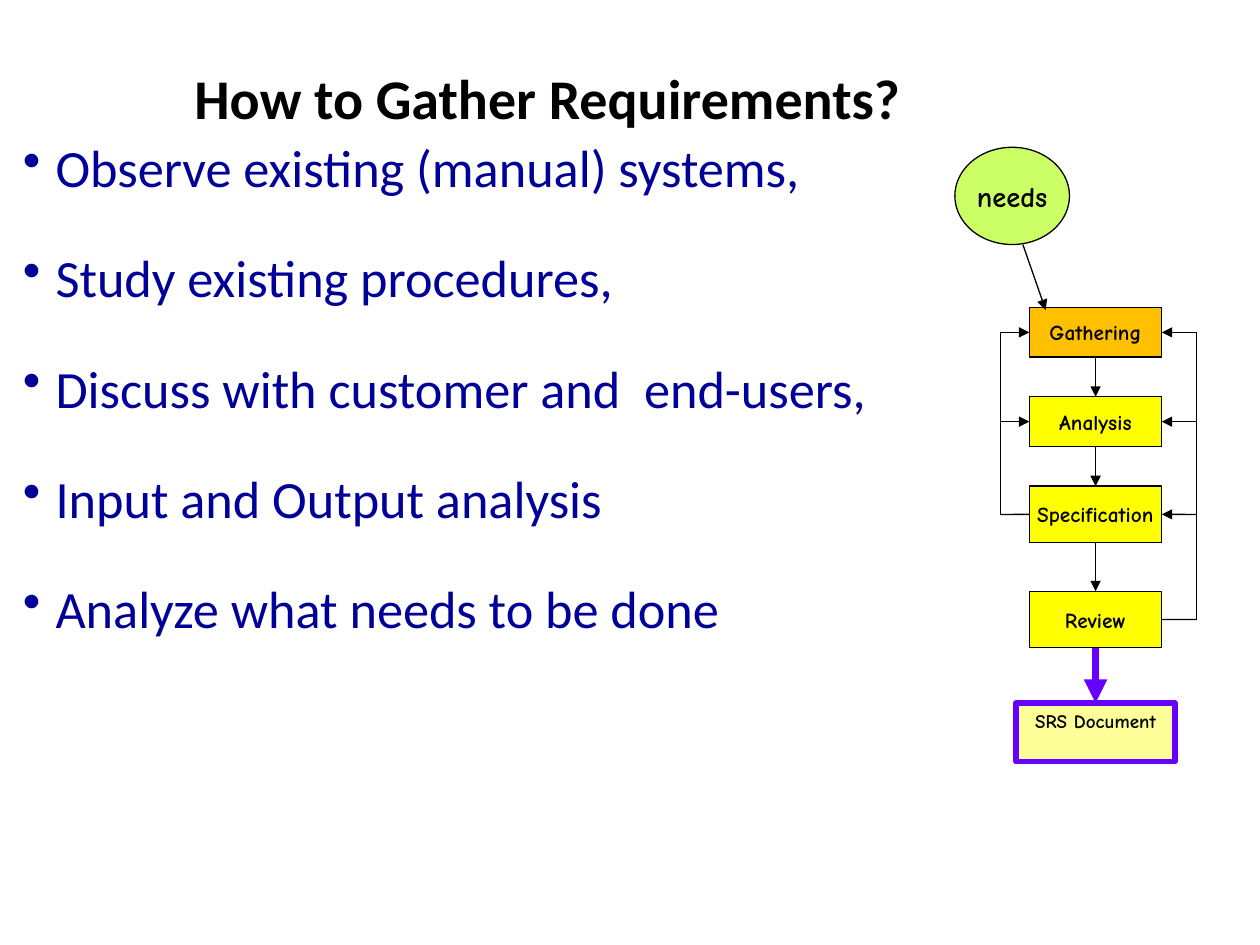
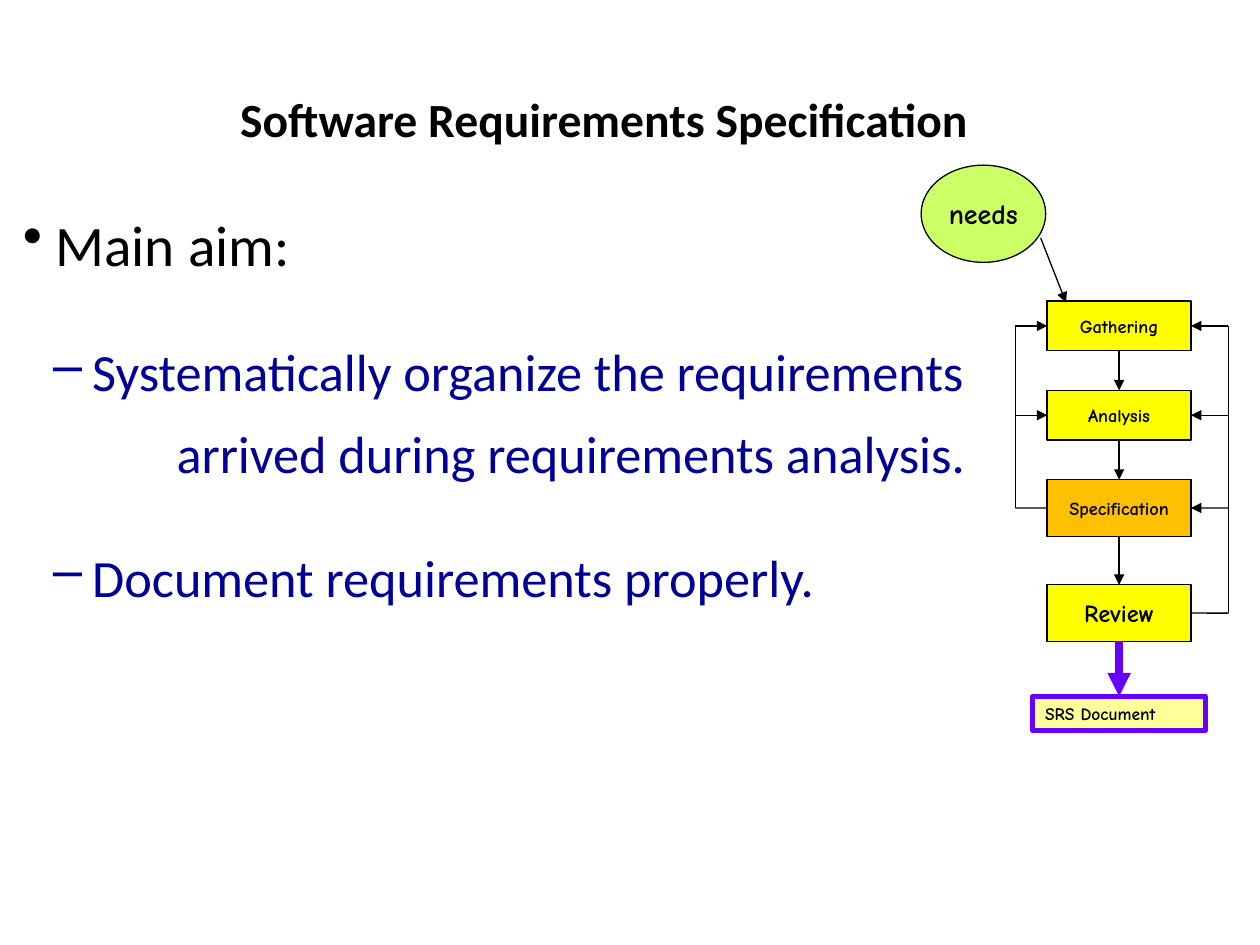
from lxml import etree
from pptx import Presentation
from pptx import util as u
from pptx.dml.color import RGBColor
from pptx.enum import shapes, text
from pptx.oxml import ns

COLORS = {
    "black": "000000",
    "navy": "000099",
    "green": "CCFF66",
    "yellow": "FFFF00",
    "orange": "FFC000",
    "cream": "FFFF99",
    "violet": "6600FF",
}
BODY_FONT = "Calibri"
DIAGRAM_FONT = "Comic Neue"

STEPS = [
    ("Gathering", 0, 1),
    ("Analysis", 1.8, 1),
    ("Specification", 3.6, 1.14),
    ("Review", 5.72, 1.14),
]
TOP, LEFT, BOTTOM, RIGHT = range(4)

# name, left indent, hanging, bullet, size, color, spacing, before, after
SLIDES = [
    {
        "title": "How to Gather Requirements?",
        "title_size": 32,
        "title_box": (0.51, 0.38, 21.06, 3.15),
        "body_box": (0.43, 2.31, 21.44, 14.96),
        "body": [
            (line, 0, 0.66, -0.66, "•", 29.9, "navy", 1.25, 6, 12.2)
            for line in (
                "Observe existing (manual) systems,",
                "Study existing procedures,",
                "Discuss with customer and  end-users,",
                "Input and Output analysis",
                "Analyze what needs to be done",
            )
        ],
        "needs_box": (19.25, 2.97, 2.31, 1.96),
        "needs_size": 16.3,
        "needs_arrow": (20.62, 4.93, 21.08, 6.25),
        "flow": (20.75, 6.2, 2.67),
        "step_sizes": (12.2, 12.2, 12.2, 12.2),
        "current": "Gathering",
        "document_height": 1.19,
        "document_size": 10.9,
        "document_align": text.PP_ALIGN.CENTER,
    },
    {
        "title": "Software Requirements Specification",
        "title_size": 27.2,
        "title_box": (2.97, 0.81, 18.42, 3.15),
        "body_box": (0.43, 3.56, 24.77, 15.16),
        "body": [
            ("Main aim:", 0, 0.66, -0.66, "•", 32.7, "black", 1.4, 12.2, 12.2),
            ("Systematically organize the requirements", 1, 1.4, -0.79, "–",
             29.9, "navy", 1.3, 12.2, 0),
            ("arrived during requirements analysis.", 1, 3.1, 0, None,
             29.9, "navy", 1.3, 0, 12.2),
            ("Document requirements properly.", 1, 1.4, -0.79, "–",
             29.9, "navy", 1.3, 12.2, 12.2),
        ],
        "needs_box": (18.57, 3.33, 2.51, 1.96),
        "needs_size": 16,
        "needs_arrow": (20.98, 4.8, 21.49, 6.1),
        "flow": (21.11, 6.07, 2.9),
        "step_sizes": (10.5, 10.5, 10.5, 14),
        "current": "Specification",
        "document_height": 0.69,
        "document_size": 10,
        "document_align": text.PP_ALIGN.LEFT,
    },
]


def add_box(slide, kind, box, label, size, fill, line="black", line_width=0.75):
    shape = slide.shapes.add_shape(kind, *map(u.Cm, box))
    shape.shadow.inherit = False
    shape.fill.solid()
    shape.fill.fore_color.rgb = RGBColor.from_string(COLORS[fill])
    shape.line.color.rgb = RGBColor.from_string(COLORS[line])
    shape.line.width = u.Pt(line_width)
    frame = shape.text_frame
    frame.word_wrap = False
    frame.vertical_anchor = text.MSO_ANCHOR.MIDDLE
    frame.margin_left = frame.margin_right = u.Cm(0.18)
    frame.margin_top = frame.margin_bottom = u.Cm(0.1)
    paragraph = frame.paragraphs[0]
    paragraph.alignment = text.PP_ALIGN.CENTER
    run = paragraph.add_run()
    run.text = label
    run.font.name = DIAGRAM_FONT
    run.font.size = u.Pt(size)
    run.font.bold = True
    run.font.color.rgb = RGBColor.from_string(COLORS["black"])
    return shape


def add_line(slide, points, start=None, end=None, arrow=True, color="black", width=0.75):
    connector = slide.shapes.add_connector(
        shapes.MSO_CONNECTOR.STRAIGHT, *map(u.Cm, points))
    if start:
        connector.begin_connect(*start)
    if end:
        connector.end_connect(*end)
    connector.line.color.rgb = RGBColor.from_string(COLORS[color])
    connector.line.width = u.Pt(width)
    if arrow:
        outline = connector.line._get_or_add_ln()
        etree.SubElement(outline, ns.qn("a:tailEnd"), type="triangle")
    etree.SubElement(connector._element.spPr, ns.qn("a:effectLst"))


presentation = Presentation()
presentation.slide_width = u.Cm(25.4)
presentation.slide_height = u.Cm(19.05)

for content in SLIDES:
    slide = presentation.slides.add_slide(presentation.slide_layouts[6])

    frames = []
    for box in (content["title_box"], content["body_box"]):
        frame = slide.shapes.add_textbox(*map(u.Cm, box)).text_frame
        frame.word_wrap = True
        frame.margin_left = frame.margin_right = u.Cm(0.03)
        frame.margin_top = frame.margin_bottom = u.Cm(0.1)
        frames.append(frame)
    title_frame, body_frame = frames

    title_frame.vertical_anchor = text.MSO_ANCHOR.MIDDLE
    paragraph = title_frame.paragraphs[0]
    paragraph.alignment = text.PP_ALIGN.CENTER
    run = paragraph.add_run()
    run.text = content["title"]
    run.font.name = BODY_FONT
    run.font.size = u.Pt(content["title_size"])
    run.font.bold = True
    run.font.color.rgb = RGBColor.from_string(COLORS["black"])

    for index, item in enumerate(content["body"]):
        line, level, indent, hanging, bullet, size, color, spacing, before, after = item
        paragraph = body_frame.add_paragraph() if index else body_frame.paragraphs[0]
        paragraph.level = level
        properties = paragraph._p.get_or_add_pPr()
        properties.set("marL", str(u.Cm(indent)))
        properties.set("indent", str(u.Cm(hanging)))
        if bullet:
            etree.SubElement(properties, ns.qn("a:buChar"), char=bullet)
        else:
            etree.SubElement(properties, ns.qn("a:buNone"))
        paragraph.line_spacing = spacing
        if index:
            paragraph.space_before = u.Pt(before)
        paragraph.space_after = u.Pt(after)
        run = paragraph.add_run()
        run.text = line
        run.font.name = BODY_FONT
        run.font.size = u.Pt(size)
        run.font.color.rgb = RGBColor.from_string(COLORS[color])

    add_box(slide, shapes.MSO_SHAPE.OVAL, content["needs_box"], "needs",
            content["needs_size"], "green")

    flow_left, flow_top, step_width = content["flow"]
    steps, middles = [], []
    for (name, offset, height), size in zip(STEPS, content["step_sizes"]):
        fill = "orange" if name == content["current"] else "yellow"
        box = (flow_left, flow_top + offset, step_width, height)
        steps.append(add_box(slide, shapes.MSO_SHAPE.RECTANGLE, box, name, size, fill))
        middles.append(flow_top + offset + height / 2)
    gathering, analysis, specification, review = steps

    add_line(slide, content["needs_arrow"])
    for upper, lower in zip(steps, steps[1:]):
        add_line(slide, (0, 0, 0, 0), (upper, BOTTOM), (lower, TOP))

    left_rail = flow_left - 0.22 * step_width
    right_rail = flow_left + 1.26 * step_width
    for rail, side, source in ((left_rail, LEFT, 2), (right_rail, RIGHT, 3)):
        add_line(slide, (rail, middles[source], rail, middles[source]),
                 start=(steps[source], side), arrow=False)
        add_line(slide, (rail, middles[source], rail, middles[0]), arrow=False)
        for step, middle in zip(steps[:source], middles):
            add_line(slide, (rail, middle, rail, middle), end=(step, side))

    document = add_box(
        slide, shapes.MSO_SHAPE.RECTANGLE,
        (flow_left - 0.1 * step_width, flow_top + 7.97,
         1.2 * step_width, content["document_height"]),
        "SRS Document", content["document_size"], "cream", "violet", 3)
    frame = document.text_frame
    frame.word_wrap = True
    frame.vertical_anchor = text.MSO_ANCHOR.TOP
    frame.margin_left = frame.margin_right = u.Cm(0.25)
    frame.margin_top = frame.margin_bottom = u.Cm(0.13)
    frame.paragraphs[0].alignment = content["document_align"]
    add_line(slide, (0, 0, 0, 0), (review, BOTTOM), (document, TOP),
             color="violet", width=4.5)

presentation.save("out.pptx")
